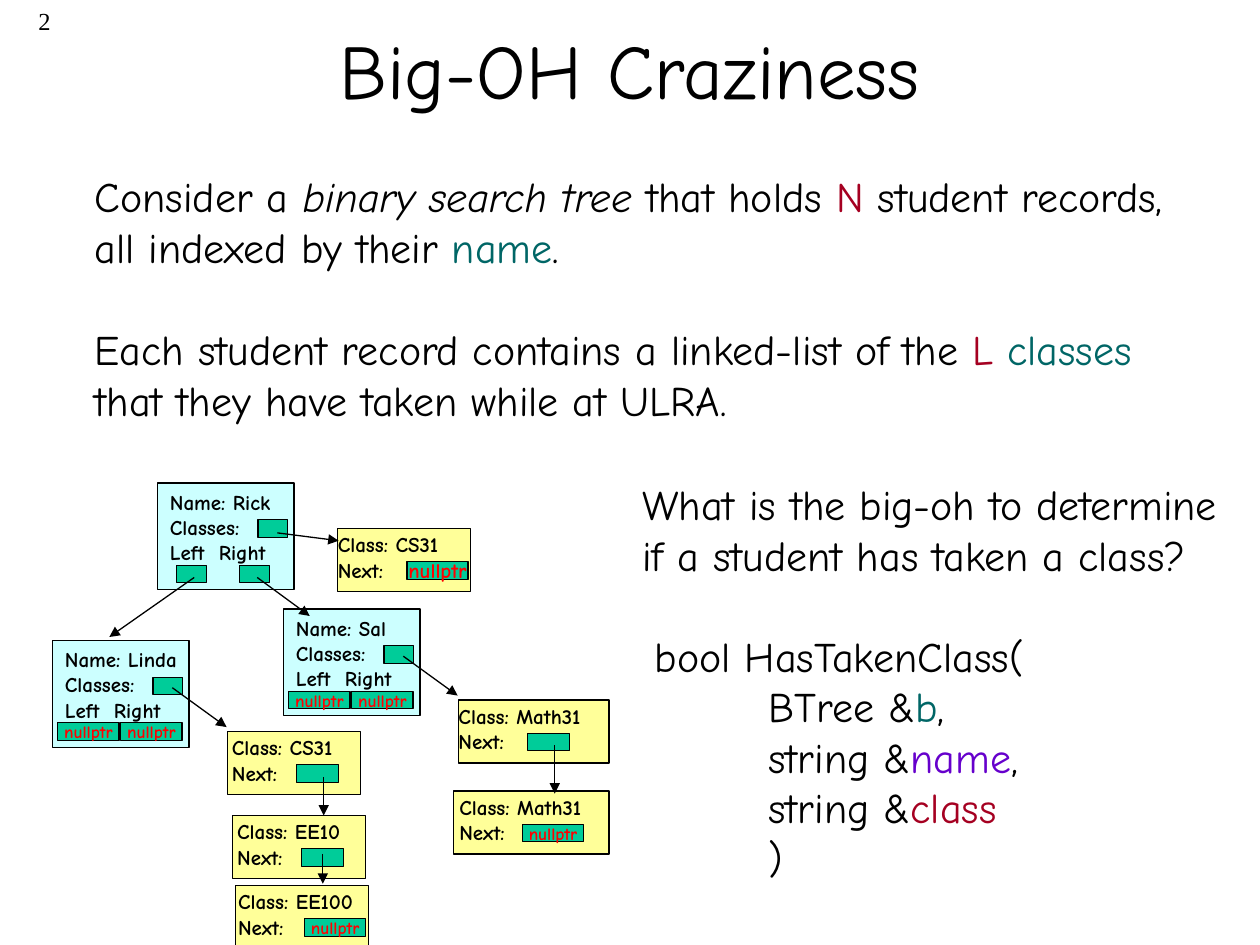
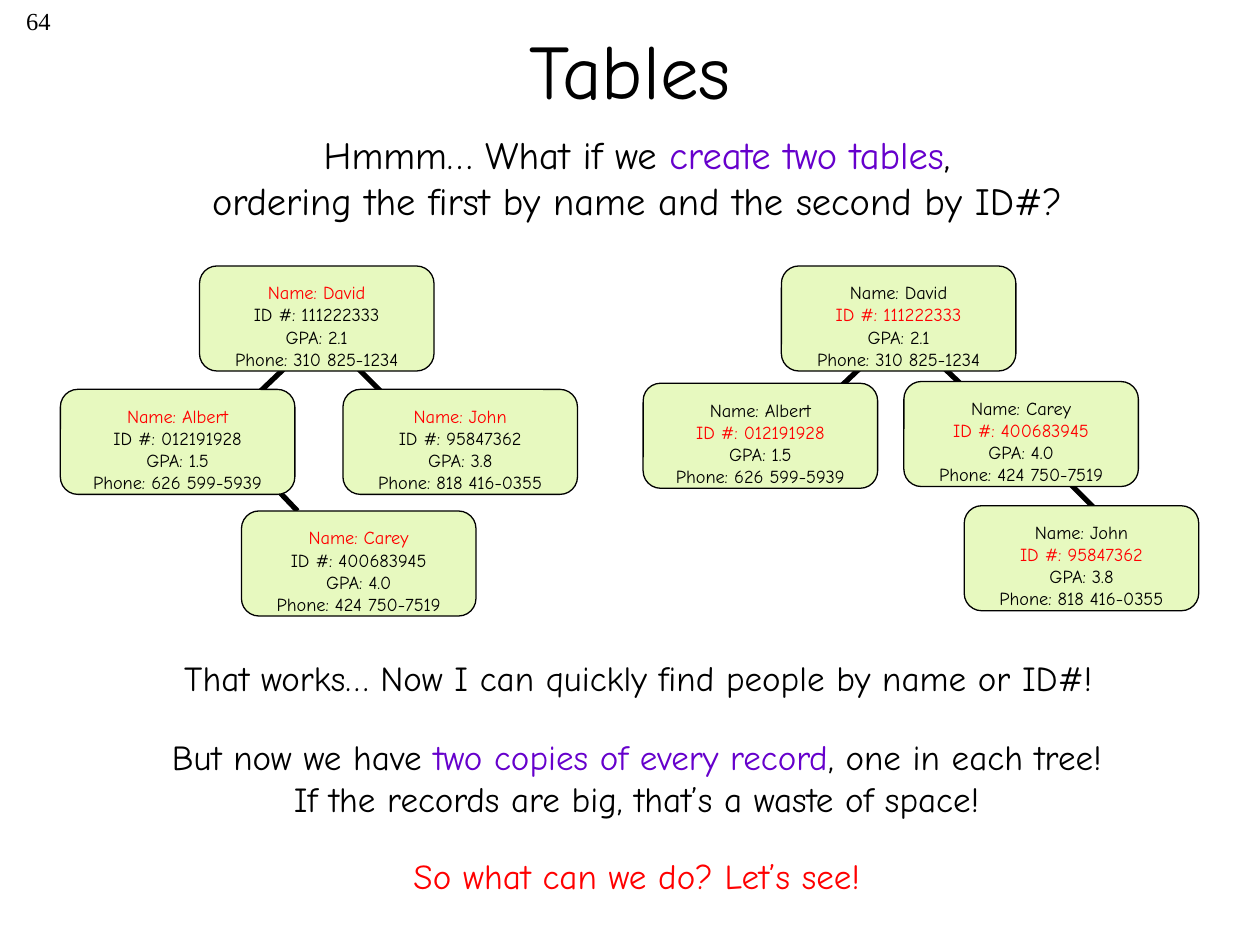
from dataclasses import dataclass
from typing import NamedTuple

from lxml.etree import SubElement
from pptx import Presentation
from pptx.dml.color import RGBColor
from pptx.enum.shapes import MSO_CONNECTOR, MSO_SHAPE
from pptx.enum.text import MSO_ANCHOR as Anchor, PP_ALIGN as Align
from pptx.oxml.ns import qn
from pptx.util import Pt

COLORS = {
    "black": "000000", "crimson": "A50021", "teal": "006666",
    "purple": "6600CC", "red": "FF0000", "student": "CCFFFF",
    "course": "FFFF99", "slot": "00CC99", "record": "E7F9BF",
}
BODY_FONT = "Comic Neue"
NUMBER_FONT = "Times New Roman"


class Span(NamedTuple):
    text: str
    color: str = "black"
    italic: bool = False


@dataclass
class Line:
    spans: list[Span]
    indent: float = 0
    space_before: float = 0
    tab_stop: float = 0


class Box(NamedTuple):
    left: float
    top: float
    width: float
    height: float


class Edge(NamedTuple):
    x1: float
    y1: float
    x2: float
    y2: float


class Student(NamedTuple):
    name: str
    left: float
    top: float
    has_children: bool = False


class Course(NamedTuple):
    name: str
    left: float
    top: float
    width: float
    is_last: bool = False
    inset: float = 2.5
    null_size: float = 10


class Person(NamedTuple):
    name: str
    number: str
    gpa: str
    phone: str


class Tree(NamedTuple):
    key_line: int
    edges: list[Edge]
    places: dict[str, tuple[float, float]]


# Shared drawing functions
def rgb(name: str) -> RGBColor:
    return RGBColor.from_string(COLORS[name])


def plain(text: str, color: str = "black", **layout: float) -> Line:
    return Line([Span(text, color)], **layout)


def write(text_frame, lines: list[Line], size: float, align=Align.LEFT,
          bold: bool = False, font: str = BODY_FONT) -> None:
    for index, line in enumerate(lines):
        paragraph = text_frame.paragraphs[0] if index == 0 else text_frame.add_paragraph()
        paragraph.alignment = align
        paragraph.space_before = Pt(line.space_before)
        properties = paragraph._p.get_or_add_pPr()
        if line.indent:
            properties.set("marL", str(Pt(line.indent)))
            properties.set("indent", "0")
        if line.tab_stop:
            stops = SubElement(properties, qn("a:tabLst"))
            SubElement(stops, qn("a:tab"), pos=str(Pt(line.tab_stop)), algn="l")
        for span in line.spans:
            run = paragraph.add_run()
            run.text = span.text
            run.font.name = font
            run.font.size = Pt(size)
            run.font.bold = bold
            run.font.italic = span.italic
            run.font.color.rgb = rgb(span.color)


def add_text(slide, box: Box, lines: list[Line], size: float,
             align=Align.LEFT, font: str = BODY_FONT) -> None:
    text_box = slide.shapes.add_textbox(*map(Pt, box))
    text_box.text_frame.word_wrap = True
    write(text_box.text_frame, lines, size, align, font=font)


def add_card(slide, box: Box, fill: str, preset=MSO_SHAPE.RECTANGLE,
             inset_left: float = 0, inset_top: float = 0, anchor=Anchor.TOP):
    shape = slide.shapes.add_shape(preset, *map(Pt, box))
    shape.shadow.inherit = False
    shape.fill.solid()
    shape.fill.fore_color.rgb = rgb(fill)
    shape.line.color.rgb = rgb("black")
    shape.line.width = Pt(0.75)
    text_frame = shape.text_frame
    text_frame.word_wrap = True
    text_frame.vertical_anchor = anchor
    text_frame.margin_left, text_frame.margin_top = Pt(inset_left), Pt(inset_top)
    text_frame.margin_right = text_frame.margin_bottom = 0
    return text_frame


def add_edge(slide, edge: Edge, width: float, arrow: bool = False) -> None:
    connector = slide.shapes.add_connector(MSO_CONNECTOR.STRAIGHT, *map(Pt, edge))
    connector.line.color.rgb = rgb("black")
    connector.line.width = Pt(width)
    if arrow:
        SubElement(connector.line._get_or_add_ln(), qn("a:tailEnd"), type="triangle")
    SubElement(connector._element.spPr, qn("a:effectLst"))


def add_slide(presentation, title: str, number: int):
    slide = presentation.slides.add_slide(presentation.slide_layouts[5])
    heading = slide.shapes.title
    heading.left, heading.top, heading.width, heading.height = map(Pt, (54, -6, 612, 90))
    heading.text_frame.vertical_anchor = Anchor.MIDDLE
    write(heading.text_frame, [plain(title)], 44, Align.CENTER)
    add_text(slide, Box(0, 0, 36, 36), [plain(str(number))], 14, Align.RIGHT, NUMBER_FONT)
    return slide


# Slide 1: student tree with linked lists of classes
STUDENTS = [
    Student("Rick", 90, 276, has_children=True),
    Student("Linda", 30, 366),
    Student("Sal", 162, 348),
]
COURSES = [
    Course("CS31", 193, 302, 76, is_last=True, inset=0, null_size=12),
    Course("CS31", 130, 418, 76),
    Course("EE10", 133, 466, 76),
    Course("EE100", 134.5, 506, 76, is_last=True, inset=1.5),
    Course("Math31", 262, 400, 86, inset=0),
    Course("Math31", 259, 452, 89, is_last=True, inset=3.5),
]
POINTERS = [
    Edge(158.5, 304.5, 193.5, 309), Edge(111, 330, 62.5, 364),
    Edge(147, 330, 177, 352), Edge(98.5, 393, 129.5, 415.5),
    Edge(230.5, 375, 261.5, 397.5), Edge(185, 444, 185, 466),
    Edge(184.5, 488, 184.5, 505), Edge(317, 426, 317, 453.5),
]
BIG_OH_INTRO = {
    94: [Span("Consider a "), Span("binary search tree", italic=True),
         Span(" that holds "), Span("N", "crimson"),
         Span(" student records, all indexed by their "), Span("name", "teal"), Span(".")],
    181.5: [Span("Each student record contains a linked-list of the "),
            Span("L ", "crimson"), Span("classes", "teal"),
            Span(" that they have taken while at ULRA.")],
}
QUESTION = [
    plain("What is the big-oh to determine if a student has taken a class?"),
    plain("bool HasTakenClass(", indent=7, space_before=29),
    Line([Span("BTree &"), Span("b", "teal"), Span(",")], indent=72),
    Line([Span("string &"), Span("name", "purple"), Span(",")], indent=72),
    Line([Span("string &"), Span("class", "crimson")], indent=72),
    plain(")", indent=72),
]


def add_slot(slide, left: float, top: float, width: float,
             is_null: bool = False, size: float = 10) -> None:
    text_frame = add_card(slide, Box(left, top, width, 10), "slot", anchor=Anchor.MIDDLE)
    if is_null:
        write(text_frame, [plain("nullptr", "red")], size, Align.CENTER, bold=True)


def add_student(slide, student: Student) -> None:
    text_frame = add_card(slide, Box(student.left, student.top, 78, 61), "student",
                          inset_left=7.2, inset_top=3.6)
    write(text_frame, [plain(f"Name: {student.name}"), plain("Classes:"),
                       plain("Left\tRight", tab_stop=28)], 12, bold=True)
    add_slot(slide, student.left + 57.5, student.top + 21, 17)
    offsets, width = ((11, 47), 17) if student.has_children else ((3, 39), 35)
    for offset in offsets:
        add_slot(slide, student.left + offset, student.top + 47, width,
                 is_null=not student.has_children)


def add_course(slide, course: Course) -> None:
    text_frame = add_card(slide, Box(course.left, course.top, course.width, 36), "course",
                          inset_left=course.inset, inset_top=2)
    write(text_frame, [plain(f"Class: {course.name}"), plain("Next:")], 12, bold=True)
    add_slot(slide, course.left + 39.5, course.top + 19, 35 if course.is_last else 24,
             course.is_last, course.null_size)


def build_big_oh(presentation) -> None:
    slide = add_slide(presentation, "Big-OH Craziness", 2)
    for top, spans in BIG_OH_INTRO.items():
        add_text(slide, Box(47, top, 643, 65), [Line(spans)], 24)
    add_text(slide, Box(360, 270, 348, 266), QUESTION, 24)
    for student in STUDENTS:
        add_student(slide, student)
    for course in COURSES:
        add_course(slide, course)
    for pointer in POINTERS:
        add_edge(slide, pointer, 0.75, arrow=True)


# Slide 2: the same records in two trees
PEOPLE = [
    Person("David", "111222333", "2.1", "310 825-1234"),
    Person("Albert", "012191928", "1.5", "626 599-5939"),
    Person("John", "95847362", "3.8", "818 416-0355"),
    Person("Carey", "400683945", "4.0", "424 750-7519"),
]
TREES = [
    Tree(0, [Edge(224, 230, 204, 210), Edge(141, 231, 162, 211), Edge(170, 292, 150, 271)],
         {"David": (114, 152), "Albert": (34.5, 222.5),
          "John": (196, 222.5), "Carey": (138, 292)}),
    Tree(1, [Edge(557, 227, 536, 207), Edge(474, 227, 495, 207), Edge(628, 293, 608, 273)],
         {"David": (446.5, 152), "Albert": (367.5, 219),
          "Carey": (516.5, 218), "John": (551, 289)}),
]
TABLES_TEXT = [
    (Box(8, 71.5, 712, 60), 22, [
        Line([Span("Hmmm… What if we "), Span("create two tables", "purple"), Span(",")]),
        plain("ordering the first by name and the second by ID#?")]),
    (Box(44, 371.5, 642, 32), 20, [
        plain("That works… Now I can quickly find people by name or ID#!")]),
    (Box(43, 417, 642, 55), 20, [
        Line([Span("But now we have "), Span("two copies of every record", "purple"),
              Span(", one in each tree!")]),
        plain("If the records are big, that’s a waste of space!")]),
    (Box(43, 484.5, 642, 32), 20, [plain("So what can we do? Let’s see!", "red")]),
]


def add_record(slide, person: Person, left: float, top: float, key_line: int) -> None:
    text_frame = add_card(slide, Box(left, top, 134, 60), "record",
                          MSO_SHAPE.ROUNDED_RECTANGLE, inset_top=6)
    texts = (f"Name: {person.name}", f"ID #: {person.number}",
             f"GPA: {person.gpa}", f"Phone: {person.phone}")
    lines = [plain(text, "red" if index == key_line else "black")
             for index, text in enumerate(texts)]
    write(text_frame, lines, 10.5, Align.CENTER)


def build_tables(presentation) -> None:
    slide = add_slide(presentation, "Tables", 64)
    for box, size, lines in TABLES_TEXT:
        add_text(slide, box, lines, size, Align.CENTER)
    for tree in TREES:
        for edge in tree.edges:
            add_edge(slide, edge, 3)
        for person in PEOPLE:
            add_record(slide, person, *tree.places[person.name], tree.key_line)


def main() -> None:
    presentation = Presentation()
    presentation.slide_width, presentation.slide_height = Pt(720), Pt(540)
    build_big_oh(presentation)
    build_tables(presentation)
    presentation.save("out.pptx")


if __name__ == "__main__":
    main()
